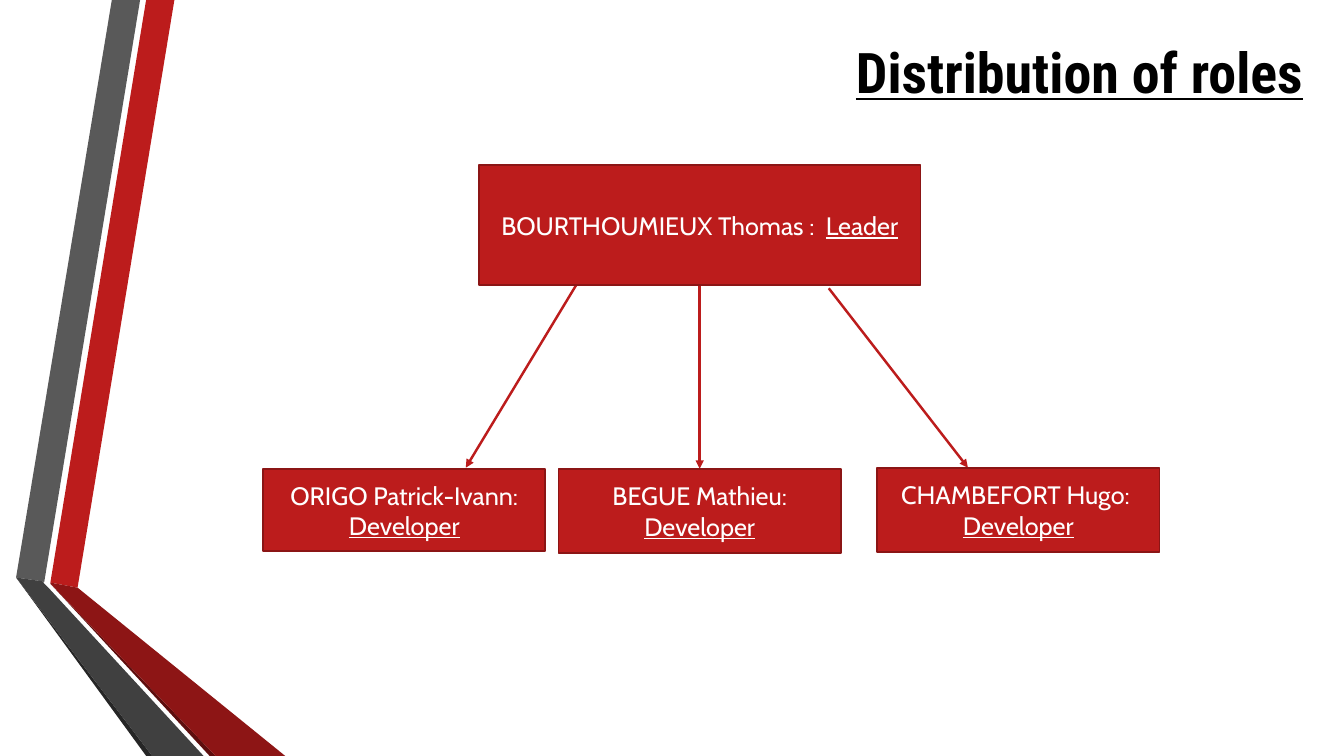
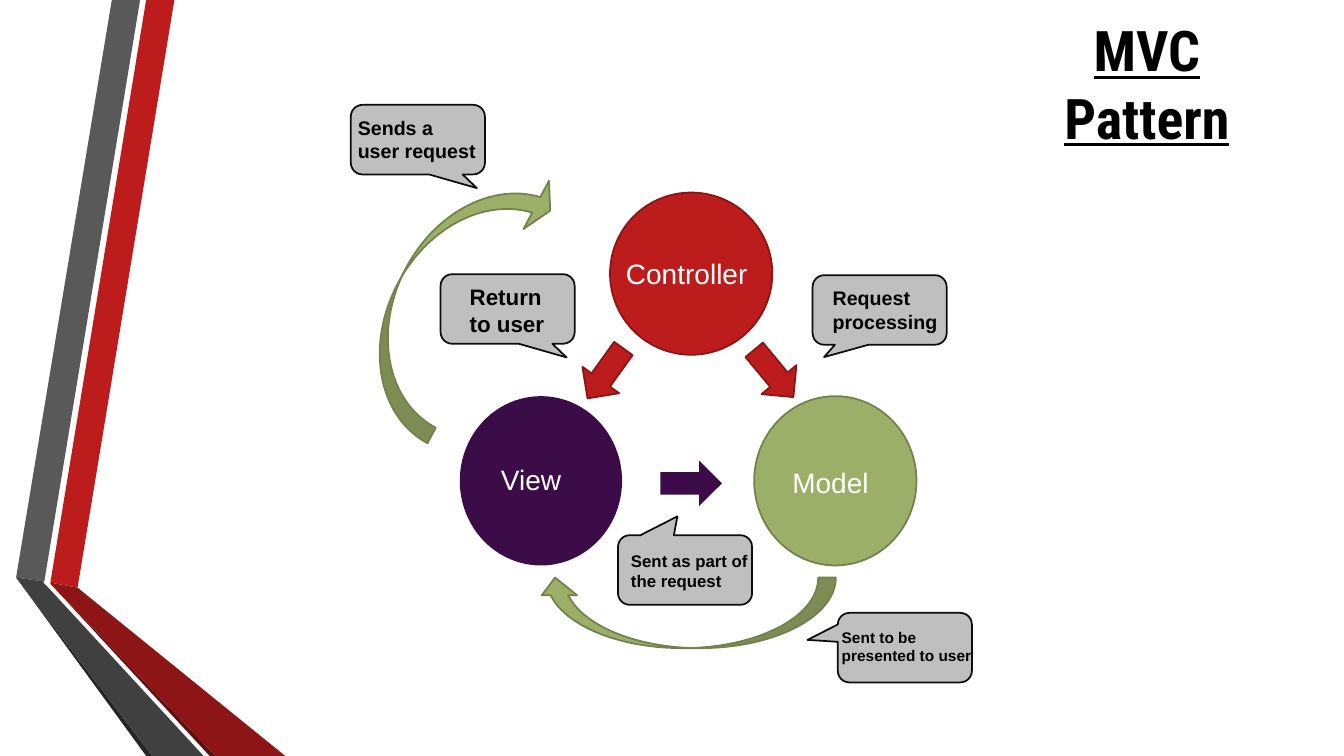
from dataclasses import dataclass
from typing import Any, NamedTuple, Optional

from lxml.etree import SubElement
from pptx import Presentation
from pptx.dml.color import RGBColor
from pptx.enum.shapes import MSO_CONNECTOR as Link, MSO_SHAPE as Preset
from pptx.enum.text import MSO_ANCHOR as Anchor, MSO_AUTO_SIZE as AutoSize, PP_ALIGN as Align
from pptx.oxml.ns import qn
from pptx.util import Inches, Pt

COLORS = {
    "red": "BC1C1C", "red_edge": "8B1515", "red_fold": "8D1515", "red_shade": "5E0E0E",
    "gray": "595959", "gray_fold": "404040", "gray_shade": "262626",
    "purple": "3B0C48", "green": "9BAF68", "green_edge": "73814D",
    "callout": "BFBFBF", "callout_edge": "0D0D0D", "black": "000000", "white": "FFFFFF",
}
TITLE_FONT = {"name": "Roboto Condensed", "size": Pt(40), "bold": True, "underline": True}
PERSON_FONT = {"name": "Cabin", "size": Pt(18)}
TITLE_FRAME = {"word_wrap": True, "auto_size": AutoSize.NONE, "vertical_anchor": Anchor.MIDDLE}
PERSON_FRAME = {"word_wrap": True, "vertical_anchor": Anchor.MIDDLE}
LABEL_FRAME = {"word_wrap": True, "auto_size": AutoSize.SHAPE_TO_FIT_TEXT}
CALLOUT_SIZE = (1.33, 0.69)
ARROW_SIZE = (0.45, 0.61)


class Box(NamedTuple):
    left: float
    top: float
    width: float
    height: float


class Band(NamedTuple):
    color: str
    points: list[tuple[float, float]]


class Arrow(NamedTuple):
    start: tuple[float, float]
    end: tuple[float, float]


@dataclass
class Person:
    box: Box
    name: str
    role: str
    role_below: bool = False


@dataclass
class Figure:
    preset: Preset
    box: Box
    fill: str
    edge: Optional[str] = None
    rotation: float = 0
    adjustments: tuple[float, ...] = ()


@dataclass
class Label:
    box: Box
    lines: tuple[str, ...]
    size: int
    color: str = "black"
    bold: bool = True


BANDS = [
    Band("red", [(0.5, 5.78), (0.77, 5.83), (1.73, 0), (1.45, 0)]),
    Band("gray", [(1.39, 0), (1.11, 0), (0.16, 5.73), (0.44, 5.77)]),
    Band("gray_shade", [(0.16, 5.73), (1.45, 7.5), (1.51, 7.5)]),
    Band("red_shade", [(0.5, 5.79), (2.08, 7.5), (2.14, 7.5)]),
    Band("red_fold", [(0.5, 5.79), (2.14, 7.5), (2.83, 7.5), (0.77, 5.83), (0.5, 5.78)]),
    Band("gray_fold", [(2.02, 7.5), (0.48, 5.83), (0.43, 5.78), (0.44, 5.77),
                       (0.16, 5.73), (1.51, 7.5)]),
]
PEOPLE = [
    Person(Box(4.75, 1.64, 4.38, 1.19), "BOURTHOUMIEUX Thomas :  ", "Leader"),
    Person(Box(2.61, 4.65, 2.8, 0.82), "ORIGO Patrick-Ivann: ", "Developer"),
    Person(Box(5.54, 4.65, 2.8, 0.84), "BEGUE Mathieu:", "Developer", True),
    Person(Box(8.7, 4.64, 2.8, 0.84), "CHAMBEFORT Hugo: ", "Developer", True),
]
REPORTING_ARROWS = [
    Arrow((5.72, 2.82), (4.62, 4.64)),
    Arrow((6.94, 2.82), (6.94, 4.65)),
    Arrow((8.22, 2.86), (9.6, 4.64)),
]


def callout(left: float, top: float, tip: tuple[float, float]) -> Figure:
    return Figure(Preset.ROUNDED_RECTANGULAR_CALLOUT, Box(left, top, *CALLOUT_SIZE),
                  "callout", "callout_edge", adjustments=tip)


def flow_arrow(left: float, top: float, rotation: float, fill: str,
               edge: Optional[str] = None) -> Figure:
    return Figure(Preset.DOWN_ARROW, Box(left, top, *ARROW_SIZE), fill, edge, rotation)


def component_label(left: float, top: float, name: str) -> Label:
    return Label(Box(left, top, 1.87, 0.44), (name,), 20, "white", False)


MVC_FIGURES = [
    Figure(Preset.FLOWCHART_CONNECTOR, Box(4.56, 3.93, 1.61, 1.68), "purple"),
    Figure(Preset.FLOWCHART_CONNECTOR, Box(6.05, 1.91, 1.61, 1.61), "red", "red_edge"),
    Figure(Preset.FLOWCHART_CONNECTOR, Box(7.48, 3.93, 1.61, 1.68), "green", "green_edge"),
    flow_arrow(5.78, 3.4, 35.7, "red", "red_edge"),
    flow_arrow(6.63, 4.49, 270, "purple"),
    flow_arrow(7.45, 3.4, 320.3, "red", "red_edge"),
    callout(8.06, 2.73, (-0.415, 0.678)),
    callout(4.37, 2.72, (0.44, 0.697)),
    callout(6.13, 5.31, (-0.057, -0.772)),
    Figure(Preset.CURVED_DOWN_ARROW, Box(5.33, 5.73, 2.96, 0.7), "green", "green_edge", 180),
    callout(8.31, 6.08, (-0.726, -0.111)),
    Figure(Preset.CURVED_DOWN_ARROW, Box(3.03, 2.39, 2.88, 1), "green", "green_edge",
           297.8, (0.174, 0.543, 0.149)),
    callout(3.48, 1.04, (0.44, 0.697)),
]
MVC_LABELS = [
    component_label(6.11, 2.5, "Controller"),
    component_label(4.87, 4.54, "View"),
    component_label(7.76, 4.57, "Model"),
    Label(Box(4.56, 2.76, 1.11, 0.64), ("Return to user",), 16),
    Label(Box(8.16, 2.79, 1.33, 0.57), ("Request processing",), 14),
    Label(Box(6.16, 5.41, 1.55, 0.5), ("Sent as part of the request",), 12),
    Label(Box(8.25, 6.18, 1.71, 0.47), ("Sent to be ", "presented to user"), 11),
    Label(Box(3.45, 1.1, 1.41, 0.57), ("Sends a user request",), 14),
]


def rgb(color: str) -> RGBColor:
    return RGBColor.from_string(COLORS[color])


def inches(values: tuple[float, ...]) -> list[int]:
    return [Inches(value) for value in values]


def set_format(target: Any, values: dict[str, Any]) -> None:
    for attribute, value in values.items():
        setattr(target, attribute, value)


def set_font(font: Any, values: dict[str, Any], color: str) -> None:
    set_format(font, values)
    font.color.rgb = rgb(color)


def paint(shape: Any, fill: str, edge: Optional[str] = None) -> None:
    shape.shadow.inherit = False
    shape.fill.solid()
    shape.fill.fore_color.rgb = rgb(fill)
    if edge is None:
        shape.line.fill.background()
    else:
        shape.line.color.rgb = rgb(edge)
        shape.line.width = Pt(1.25)


def add_bands_to_layout(slide: Any) -> None:
    layout_tree = slide.slide_layout.shapes.element
    for number, band in enumerate(BANDS):
        start, *corners = [tuple(inches(point)) for point in band.points]
        outline = slide.shapes.build_freeform(*start)
        outline.add_line_segments(corners, close=True)
        ribbon = outline.convert_to_shape()
        paint(ribbon, band.color)
        ribbon.element.nvSpPr.cNvPr.set("id", str(100 + number))
        layout_tree.append(ribbon.element)


def add_titled_slide(deck: Any, title: str, box: Box) -> Any:
    slide = deck.slides.add_slide(deck.slide_layouts[5])
    heading = slide.shapes.title
    set_format(heading, dict(zip(box._fields, inches(box))))
    set_format(heading.text_frame, TITLE_FRAME)
    heading.text_frame.text = title
    line = heading.text_frame.paragraphs[0]
    line.alignment = Align.CENTER
    set_font(line.runs[0].font, TITLE_FONT, "black")
    return slide


def add_person(slide: Any, person: Person) -> None:
    card = slide.shapes.add_shape(Preset.RECTANGLE, *inches(person.box))
    paint(card, "red", "red_edge")
    frame = card.text_frame
    set_format(frame, PERSON_FRAME)
    name_line = frame.paragraphs[0]
    role_line = frame.add_paragraph() if person.role_below else name_line
    for line, words, underlined in ((name_line, person.name, False),
                                    (role_line, person.role, True)):
        line.alignment = Align.CENTER
        run = line.add_run()
        run.text = words
        set_font(run.font, PERSON_FONT | {"underline": underlined}, "white")


def add_arrow(slide: Any, arrow: Arrow) -> None:
    link = slide.shapes.add_connector(Link.STRAIGHT, *inches(arrow.start + arrow.end))
    link.line.color.rgb = rgb("red")
    link.line.width = Pt(1.75)
    properties = link.element.spPr
    SubElement(properties.find(qn("a:ln")), qn("a:tailEnd"), type="triangle")
    SubElement(properties, qn("a:effectLst"))


def add_figure(slide: Any, figure: Figure) -> None:
    shape = slide.shapes.add_shape(figure.preset, *inches(figure.box))
    paint(shape, figure.fill, figure.edge)
    shape.rotation = figure.rotation
    for index, value in enumerate(figure.adjustments):
        shape.adjustments[index] = value


def add_label(slide: Any, label: Label) -> None:
    frame = slide.shapes.add_textbox(*inches(label.box)).text_frame
    set_format(frame, LABEL_FRAME)
    frame.text = "\n".join(label.lines)
    for line in frame.paragraphs:
        values = {"name": "Arial", "size": Pt(label.size), "bold": label.bold}
        set_font(line.runs[0].font, values, label.color)


def build() -> None:
    deck = Presentation()
    set_format(deck, {"slide_width": Inches(13.33), "slide_height": Inches(7.5)})

    roles = add_titled_slide(deck, "Distribution of roles", Box(7.71, 0.24, 5.99, 0.93))
    add_bands_to_layout(roles)
    for arrow in REPORTING_ARROWS:
        add_arrow(roles, arrow)
    for person in PEOPLE:
        add_person(roles, person)

    mvc = add_titled_slide(deck, "MVC Pattern", Box(9.95, 0.31, 2.85, 1.03))
    for figure in MVC_FIGURES:
        add_figure(mvc, figure)
    for label in MVC_LABELS:
        add_label(mvc, label)

    deck.save("out.pptx")


build()
